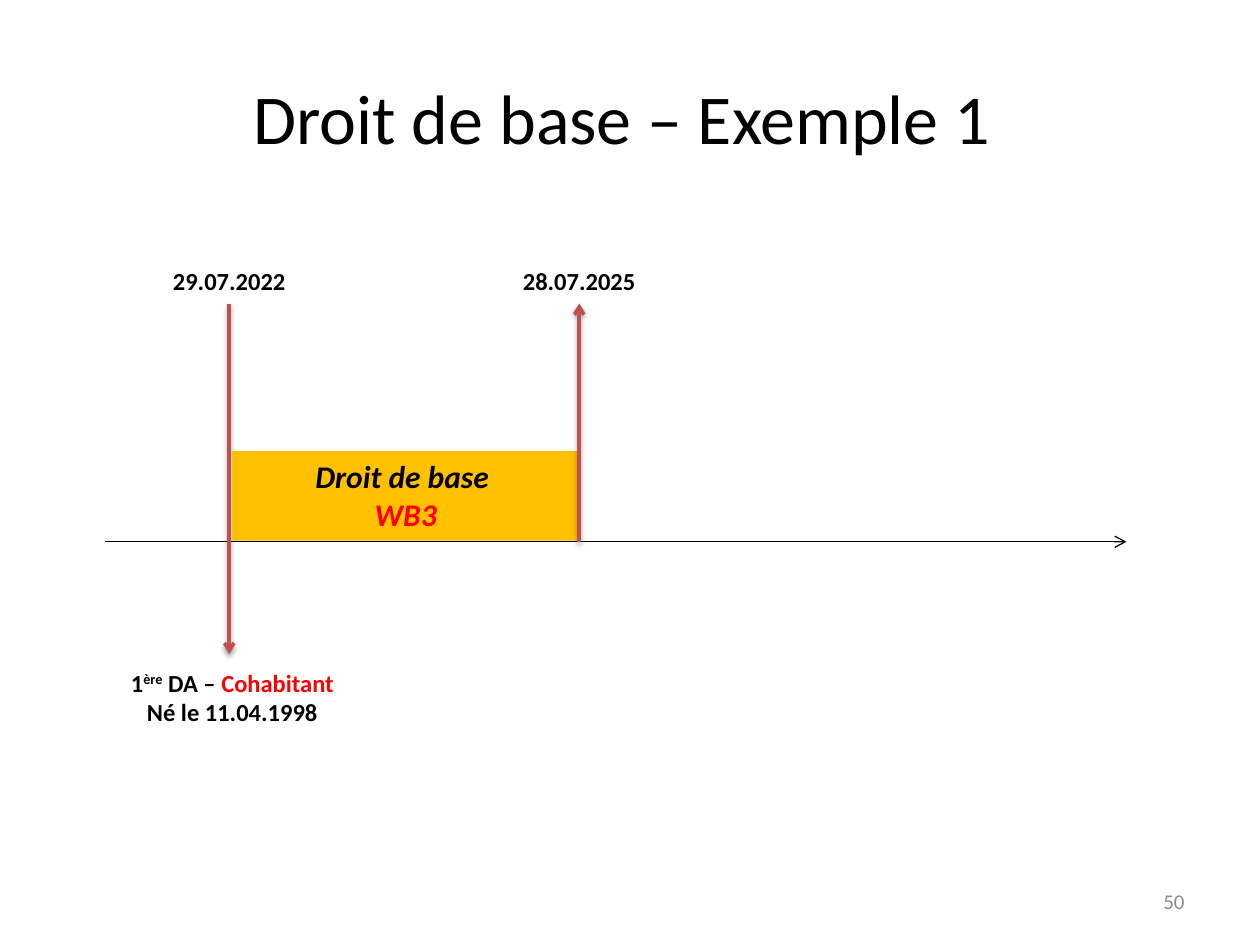
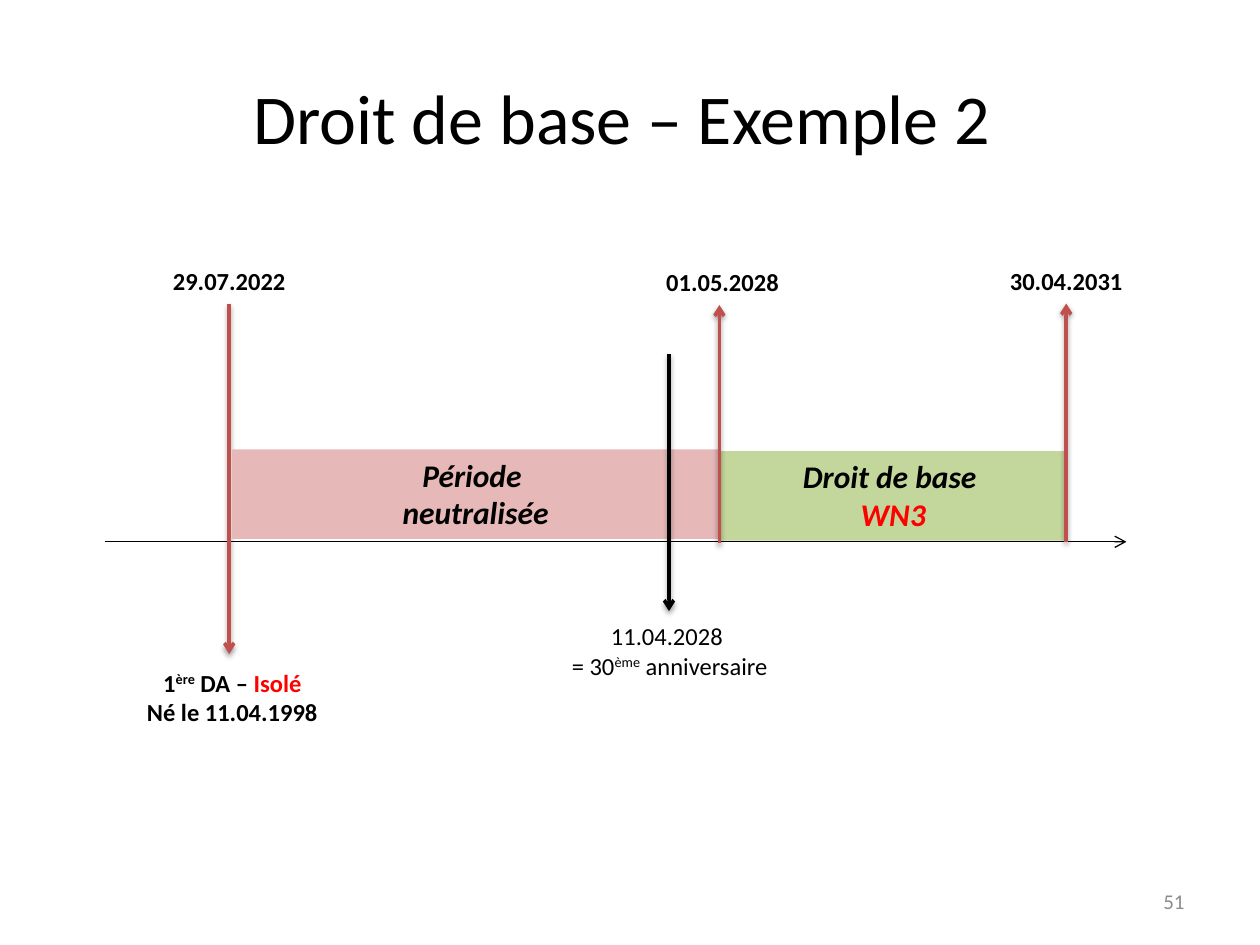
from lxml.etree import SubElement
from pptx import Presentation
from pptx.dml.color import RGBColor
from pptx.enum.shapes import MSO_CONNECTOR, MSO_SHAPE
from pptx.enum.text import MSO_ANCHOR, PP_ALIGN
from pptx.oxml.ns import qn
from pptx.util import Pt

BLACK = RGBColor(0x00, 0x00, 0x00)
RED = RGBColor(0xFF, 0x00, 0x00)
BRICK = RGBColor(0xC0, 0x50, 0x4D)
GREY = RGBColor(0x8C, 0x8C, 0x8C)
AMBER = RGBColor(0xFF, 0xC0, 0x00)
GREEN = RGBColor(0xC3, 0xD6, 0x9B)
PINK = RGBColor(0xE6, 0xB9, 0xB8)

FONT = "Calibri"
AXIS_Y = 309.6
DATE_ARROW_TOP = 173.5
START_X = 131
BAR_LEFT = 132.5
BAR_TOP = 257.8
LABEL_WIDTH = 147.6
LINE_HEIGHT = 17


def write(shape, paragraphs, size, color=BLACK, bold=False, italic=False,
          align=PP_ALIGN.CENTER, anchor=MSO_ANCHOR.TOP):
    """Fill a shape with paragraphs, each a list of (text, mark) spans."""
    frame = shape.text_frame
    frame.word_wrap = True
    frame.vertical_anchor = anchor
    for index, spans in enumerate(paragraphs):
        para = frame.add_paragraph() if index else frame.paragraphs[0]
        para.alignment = align
        font = para.font
        font.name, font.size, font.bold, font.italic = FONT, Pt(size), bold, italic
        font.color.rgb = color
        for text, mark in spans:
            span = para.add_run()
            span.text = text
            if mark == "red":
                span.font.color.rgb = RED
            elif mark == "raised":
                span.font._element.set("baseline", "30000")


def add_text(page, left, top, width, height, paragraphs, size, **style):
    """Add a text box."""
    box = page.shapes.add_textbox(Pt(left), Pt(top), Pt(width), Pt(height))
    write(box, paragraphs, size, **style)


def add_label(page, center, top, paragraphs, bold=True):
    """Add a small label centred on a point of the timeline."""
    height = 7.2 + LINE_HEIGHT * len(paragraphs)
    add_text(page, center - LABEL_WIDTH / 2, top, LABEL_WIDTH, height,
             paragraphs, 14, bold=bold)


def add_arrow(page, start, end, color=BRICK, width=2, head="arrow", shadow=True):
    """Draw a straight arrow, with a soft shadow below if wanted."""
    arrow = page.shapes.add_connector(
        MSO_CONNECTOR.STRAIGHT, *(Pt(value) for value in (*start, *end)))
    arrow.line.color.rgb = color
    arrow.line.width = Pt(width)
    SubElement(arrow.line._get_or_add_ln(), qn("a:tailEnd"), type=head)
    effects = SubElement(arrow._element.spPr, qn("a:effectLst"))
    if shadow:
        outer = SubElement(effects, qn("a:outerShdw"), blurRad=str(Pt(3.1)),
                           dist=str(Pt(1.6)), dir="5400000", rotWithShape="0")
        tint = SubElement(outer, qn("a:srgbClr"), val=str(BLACK))
        SubElement(tint, qn("a:alpha"), val="38000")


def add_bar(page, left, right, color, paragraphs, top=BAR_TOP):
    """Add a coloured period standing on the timeline."""
    bar = page.shapes.add_shape(MSO_SHAPE.RECTANGLE, Pt(left), Pt(top),
                                Pt(right - left), Pt(51.2))
    bar.shadow.inherit = False
    bar.fill.solid()
    bar.fill.fore_color.rgb = color
    bar.line.fill.background()
    write(bar, paragraphs, 18, bold=True, italic=True)


def add_base_right(page, left, right, color, code):
    """Add the period of basic entitlement with its code."""
    add_bar(page, left, right, color, [[("Droit de base ", None)], [(code, "red")]])


def add_end(page, x, date, center=None, drop=0):
    """Add an upward arrow from the timeline to a date."""
    add_arrow(page, (x, AXIS_Y + drop), (x, DATE_ARROW_TOP + drop))
    add_label(page, center or x, 148.3 + drop, [[(date, None)]])


def add_example(deck, number, page_number, status):
    """Add a page with title, timeline, first application and page number."""
    page = deck.slides.add_slide(deck.slide_layouts[6])
    add_text(page, 36, 21.6, 648, 90, [[(f"Droit de base – Exemple {number} ", None)]],
             40, anchor=MSO_ANCHOR.MIDDLE)
    add_arrow(page, (59.8, AXIS_Y), (643.7, AXIS_Y), BLACK, 0.75, shadow=False)
    add_arrow(page, (START_X, DATE_ARROW_TOP), (START_X, 373.7))
    add_label(page, START_X, 148.3, [[("29.07.2022", None)]])
    add_label(page, 132.8, 378, [
        [("1", None), ("ère", "raised"), (" DA – ", None), (status, "red")],
        [("Né le 11.04.1998", None)]])
    add_text(page, 516.2, 500.4, 167.8, 28.8, [[(str(page_number), None)]], 12,
             color=GREY, align=PP_ALIGN.RIGHT, anchor=MSO_ANCHOR.MIDDLE)
    return page


def add_birthday(page, x):
    """Mark the thirtieth birthday on the timeline."""
    add_arrow(page, (x, 202.3), (x, 349.2), BLACK)
    add_label(page, x + 0.4, 351.4, [
        [("11.04.2028 ", None)],
        [("= 30", None), ("ème", "raised"), (" anniversaire", None)]], bold=False)


def main():
    """Build both examples and save the deck."""
    deck = Presentation()
    deck.slide_width, deck.slide_height = Pt(720), Pt(540)

    page = add_example(deck, 1, 50, "Cohabitant")
    add_base_right(page, BAR_LEFT, 331.2, AMBER, "WB3")
    add_end(page, 331, "28.07.2025")

    page = add_example(deck, 2, 51, "Isolé")
    add_base_right(page, 411.1, 609.8, GREEN, "WN3")
    add_bar(page, BAR_LEFT, 411.1, PINK,
            [[("Période ", None)], [("neutralisée", None)]], top=256.8)
    add_end(page, 609.3, "30.04.2031")
    add_end(page, 411.1, "01.05.2028", center=412.9, drop=0.8)
    add_birthday(page, 382.3)

    deck.save("out.pptx")


if __name__ == "__main__":
    main()
